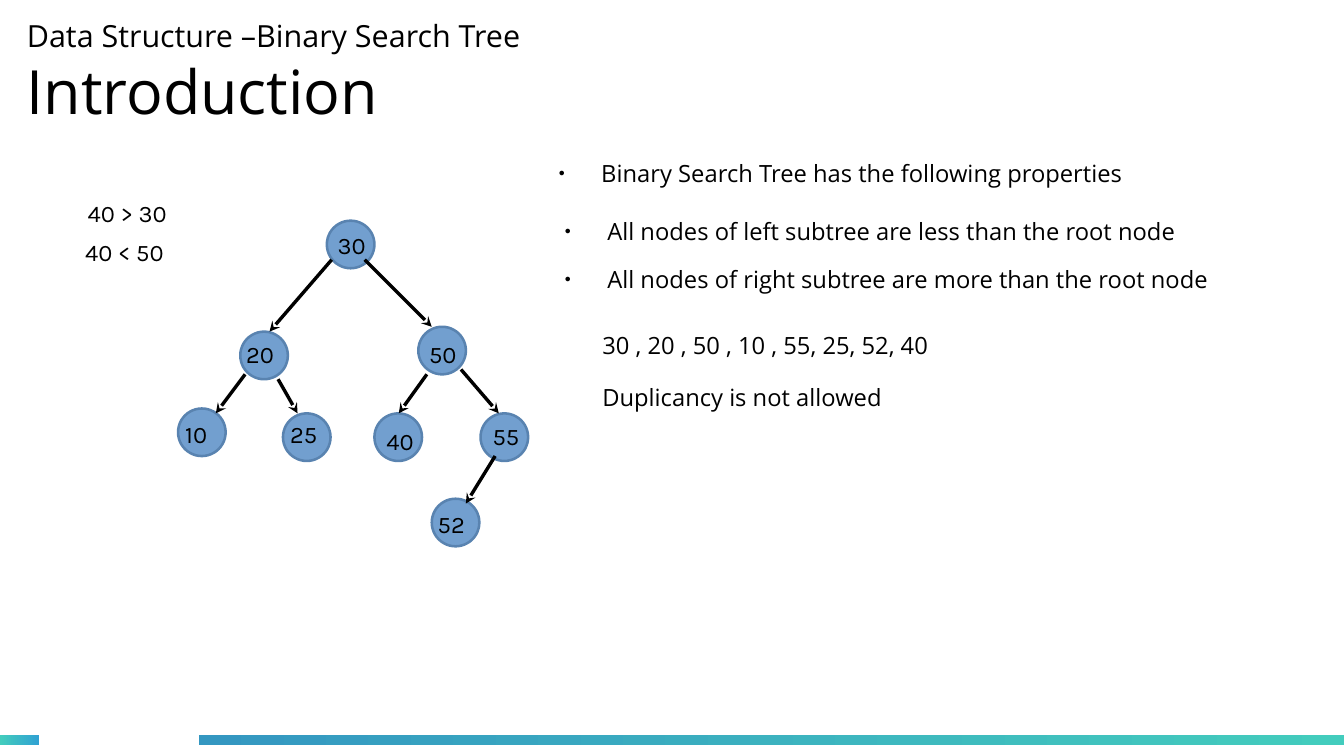
from lxml import etree
from pptx import Presentation
from pptx.dml.color import RGBColor
from pptx.enum.shapes import MSO_CONNECTOR, MSO_SHAPE
from pptx.enum.text import MSO_ANCHOR, MSO_AUTO_SIZE, PP_ALIGN
from pptx.oxml.ns import qn
from pptx.util import Inches, Pt

STRAIGHT = MSO_CONNECTOR.STRAIGHT
ELLIPSE, RECTANGLE = MSO_SHAPE.OVAL, MSO_SHAPE.RECTANGLE
TOP, MIDDLE = MSO_ANCHOR.TOP, MSO_ANCHOR.MIDDLE
NO_AUTOFIT, LEFT = MSO_AUTO_SIZE.NONE, PP_ALIGN.LEFT

BLACK = RGBColor(0x00, 0x00, 0x00)
NODE_FILL = RGBColor(0x72, 0x9F, 0xCF)
NODE_LINE = RGBColor(0x59, 0x83, 0xB0)
TEAL = RGBColor(0x43, 0xCC, 0xBD)
SKY = RGBColor(0x30, 0xA2, 0xD2)
STEEL = RGBColor(0x34, 0x97, 0xC1)

# The grid has square cells; all places below are (column, row) in cells.
COLUMNS, ROWS, CELL = 110.2, 62, Inches(0.1)
NODE_SIZE = 3.9
LABEL_SIZE = (5.2, 3.6)

# value: (node place, label place)
NODES = {
    "30": ((26.8, 18.1), (26.7, 18.4)),
    "20": ((19.7, 27.2), (19.2, 27.4)),
    "50": ((34.3, 26.8), (34.2, 27.4)),
    "10": ((14.6, 33.5), (14.2, 33.9)),
    "25": ((23.2, 33.9), (22.8, 33.9)),
    "40": ((30.7, 33.9), (30.7, 34.5)),
    "55": ((39.4, 33.9), (39.4, 34.1)),
    "52": ((35.4, 40.9), (34.9, 41.3)),
}
# (start, end) of each arrow from parent to child
BRANCHES = [
    ((27.2, 21.3), (22.1, 27.2)),
    ((29.9, 21.3), (35.4, 26.8)),
    ((20.1, 30.7), (17.7, 33.9)),
    ((22.8, 31.1), (24.4, 33.9)),
    ((35, 30.7), (32.7, 33.9)),
    ((37.8, 30.3), (40.9, 33.9)),
    ((40.6, 37.4), (38.2, 41.3)),
]
BODY_FONT = {"name": "Open Sans", "size": Pt(14)}
NODE_FONT = {"name": "Karla", "size": Pt(14)}
NOTES = [
    ("40 > 30", (6.2, 15.8), (9.8, 3.6), NODE_FONT),
    ("40 < 50", (6, 19), (9.8, 3.6), NODE_FONT),
    ("30 , 20 , 50 , 10 , 55, 25, 52, 40", (48.4, 26.6), (35, 3.8), BODY_FONT),
    ("Duplicancy is not allowed", (48.4, 30.9), (31.9, 3.8), BODY_FONT),
]


def cells(*values):
    return [round(value * CELL) for value in values]


def set_formats(target, formats):
    for name, value in formats.items():
        setattr(target, name, value)


class TreeSlide:
    def __init__(self, presentation):
        layout = presentation.slide_layouts.get_by_name("Two Content")
        self.slide = presentation.slides.add_slide(layout)
        self.shapes = self.slide.shapes

    def fill_text(self, shape, lines, anchor=TOP, margins=(1, 0.5)):
        """Fill a shape with one paragraph for each (text, font formats) pair."""
        frame = shape.text_frame
        side, edge = cells(*margins)
        set_formats(frame, {
            "word_wrap": True, "auto_size": NO_AUTOFIT, "vertical_anchor": anchor,
            "margin_left": side, "margin_right": side,
            "margin_top": edge, "margin_bottom": edge,
        })
        for index, (text, font) in enumerate(lines):
            paragraph = frame.add_paragraph() if index else frame.paragraphs[0]
            set_formats(paragraph, {"alignment": LEFT, "space_before": Pt(0)})
            run = paragraph.add_run()
            run.text = text
            set_formats(run.font, font)
            run.font.color.rgb = BLACK
        return frame.paragraphs

    def place(self, shape, position, size):
        names = ("left", "top", "width", "height")
        set_formats(shape, dict(zip(names, cells(*position, *size))))

    def title(self, lines, position, size):
        self.place(self.shapes.title, position, size)
        self.fill_text(self.shapes.title, lines, MIDDLE, (0, 0))

    def bullets(self, index, texts, position, size):
        shape = self.slide.placeholders[index]
        self.place(shape, position, size)
        for paragraph in self.fill_text(shape, [(text, BODY_FONT) for text in texts]):
            paragraph.space_after = Pt(11.4)
            properties = paragraph._p.get_or_add_pPr()
            properties.set("marL", str(Inches(0.47)))
            properties.set("indent", str(Inches(-0.35)))
            colour = etree.SubElement(properties, qn("a:buClr"))
            etree.SubElement(colour, qn("a:srgbClr"), val=str(BLACK))
            etree.SubElement(properties, qn("a:buSzPct"), val="45000")
            etree.SubElement(properties, qn("a:buChar"), char="●")

    def text(self, text, position, size, font):
        box = self.shapes.add_textbox(*cells(*position, *size))
        self.fill_text(box, [(text, font)])

    def bar(self, position, size, colours):
        shape = self.shapes.add_shape(RECTANGLE, *cells(*position, *size))
        shape.shadow.inherit = False
        shape.line.fill.background()
        shape.fill.gradient()
        shape.fill.gradient_angle = 0
        for stop, colour in zip(shape.fill.gradient_stops, colours):
            stop.color.rgb = colour

    def node(self, position):
        size = (NODE_SIZE, NODE_SIZE)
        shape = self.shapes.add_shape(ELLIPSE, *cells(*position, *size))
        shape.shadow.inherit = False
        shape.fill.solid()
        shape.fill.fore_color.rgb = NODE_FILL
        shape.line.color.rgb = NODE_LINE
        shape.line.width = Pt(1.5)

    def arrow(self, start, end):
        connector = self.shapes.add_connector(STRAIGHT, *cells(*start, *end))
        connector.line.color.rgb = BLACK
        connector.line.width = Pt(0)
        outline = connector._element.spPr.find(qn("a:ln"))
        etree.SubElement(outline, qn("a:tailEnd"), type="stealth")
        etree.SubElement(connector._element.spPr, qn("a:effectLst"))


def main():
    presentation = Presentation()
    presentation.slide_width, presentation.slide_height = cells(COLUMNS, ROWS)
    page = TreeSlide(presentation)

    page.bar((0, 60.3), (3.2, 0.8), (TEAL, SKY))
    page.bar((16.3, 60.3), (COLUMNS - 16.3, 0.8), (STEEL, TEAL))
    page.title(
        [("Data Structure –Binary Search Tree", {"name": "Open Sans", "size": Pt(18)}),
         ("Introduction", {"name": "Open Sans", "size": Pt(36)})],
        (2.2, 0.8), (76.8, 10.2))
    page.bullets(1, ["Binary Search Tree has the following properties"],
                 (43.6, 12.5), (65.9, 3.8))
    page.bullets(2, ["All nodes of left subtree are less than the root node",
                     "All nodes of right subtree are more than the root node"],
                 (44.1, 17.3), (65.9, 7.9))

    for node_place, _ in NODES.values():
        page.node(node_place)
    for start, end in BRANCHES:
        page.arrow(start, end)
    for value, (_, label_place) in NODES.items():
        page.text(value, label_place, LABEL_SIZE, NODE_FONT)
    for note in NOTES:
        page.text(*note)

    presentation.save("out.pptx")


if __name__ == "__main__":
    main()
